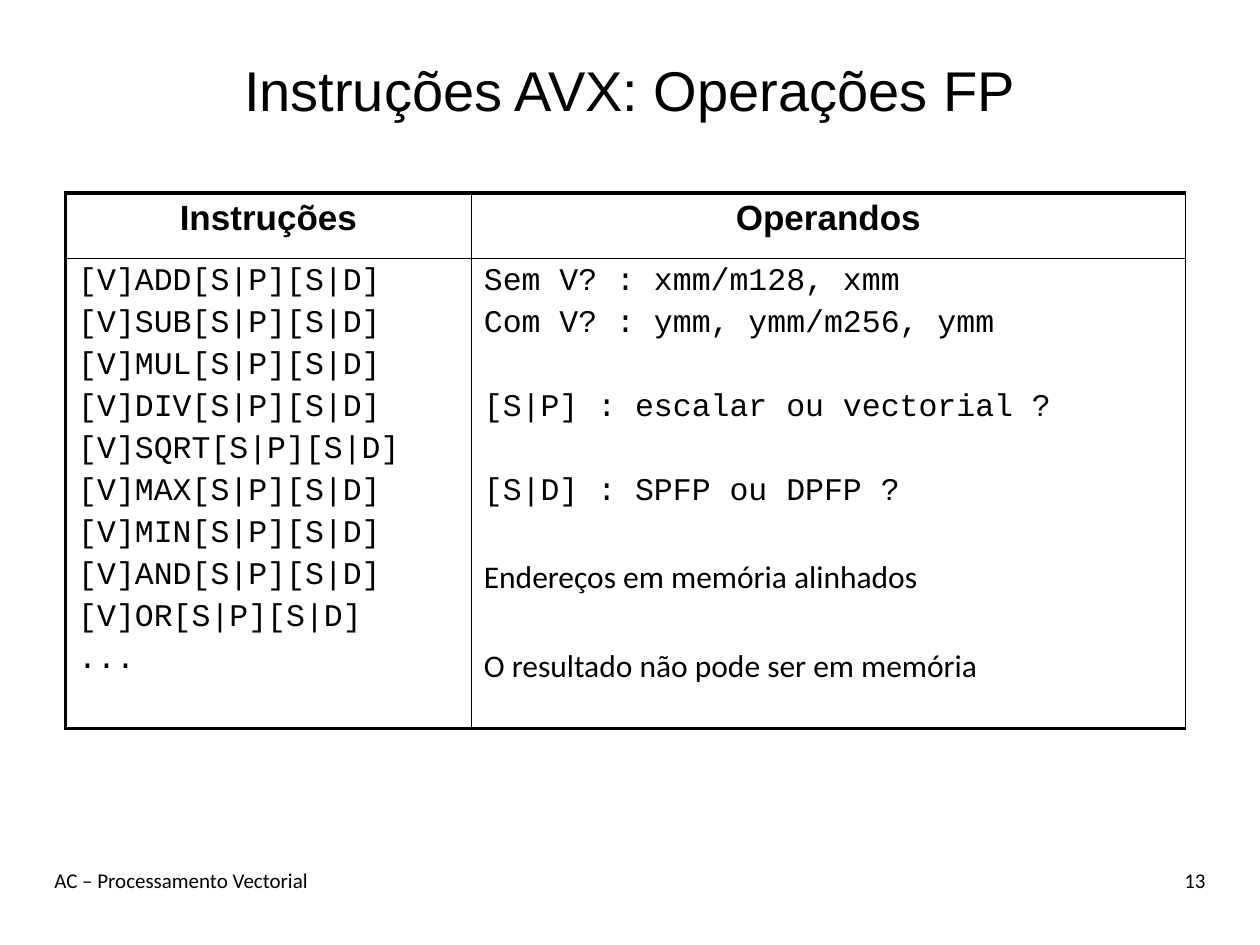
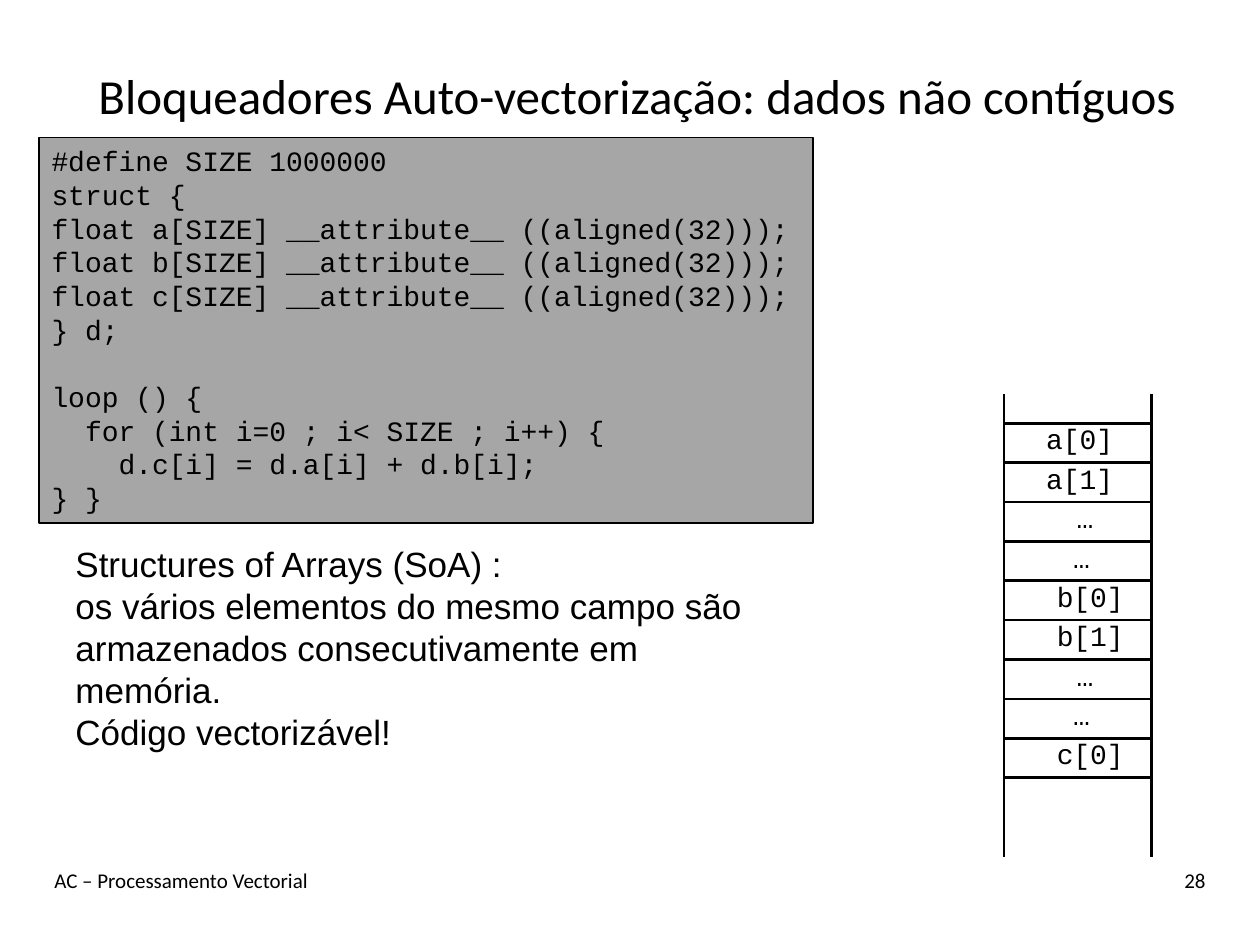
import lxml.etree
import pptx
import pptx.dml.color
import pptx.enum.shapes
import pptx.enum.text
import pptx.oxml.ns
import pptx.util

Pt = pptx.util.Pt
ALIGN = pptx.enum.text.PP_ALIGN
ANCHOR = pptx.enum.text.MSO_ANCHOR
FIT = pptx.enum.text.MSO_AUTO_SIZE
SANS, BODY, CODE = "Arial", "Calibri", "Courier New"
BLACK, GREY = "000000", "A6A6A6"
TITLE_ONLY = 5


def colour(value):
    return pptx.dml.color.RGBColor.from_string(value)


def add_element(parent, tag, **attributes):
    return lxml.etree.SubElement(parent, pptx.oxml.ns.qn(tag), attributes)


class Slides:
    """Holds the deck, its style and the current page; lengths are in points."""

    def __init__(self):
        self.deck = pptx.Presentation()
        self.deck.slide_width, self.deck.slide_height = Pt(720), Pt(540)
        self.page = None

    def start(self, title, number, left, top, size, font):
        self.page = self.deck.slides.add_slide(self.deck.slide_layouts[TITLE_ONLY])
        box = self.page.shapes.title
        box.left, box.top, box.width, box.height = Pt(left), Pt(top), Pt(672), Pt(66)
        self.fill_frame(box.text_frame, [title], size, font, ALIGN.CENTER)
        box.text_frame.vertical_anchor = ANCHOR.MIDDLE
        self.text(["AC – Processamento Vectorial"], 24, 492, 504, 36, 12, BODY)
        self.text([str(number)], 600, 492, 96, 36, 12, BODY, ALIGN.RIGHT)

    def fill_frame(self, frame, lines, size, font, align=ALIGN.LEFT):
        frame.word_wrap = True
        frame.auto_size = FIT.NONE
        self.paragraphs(frame, lines, size, font, align)

    def paragraphs(self, frame, lines, size, font, align=ALIGN.LEFT, bold=False):
        for index, line in enumerate(lines):
            para = frame.add_paragraph() if index else frame.paragraphs[0]
            para.text = line
            para.alignment = align
            para.font.size, para.font.name, para.font.bold = Pt(size), font, bold
            para.font.color.rgb = colour(BLACK)

    def text(self, lines, left, top, width, height, size, font, align=ALIGN.LEFT):
        box = self.page.shapes.add_textbox(Pt(left), Pt(top), Pt(width), Pt(height))
        self.fill_frame(box.text_frame, lines, size, font, align)

    def code(self, blocks, left, top, width, height, size, pitch):
        """Draw a listing whose blocks are one line apart."""
        box = self.page.shapes.add_shape(
            pptx.enum.shapes.MSO_SHAPE.RECTANGLE, Pt(left), Pt(top), Pt(width), Pt(height))
        box.shadow.inherit = False
        box.fill.solid()
        box.fill.fore_color.rgb = colour(GREY)
        box.line.color.rgb = colour(BLACK)
        box.line.width = Pt(0.75)
        frame = box.text_frame
        self.fill_frame(frame, [line for block in blocks for line in block], size, CODE)
        frame.word_wrap = False
        frame.vertical_anchor = ANCHOR.TOP
        for para in frame.paragraphs:
            para.line_spacing = Pt(pitch)
        start = 0
        for block in blocks[:-1]:
            start += len(block)
            frame.paragraphs[start].space_before = Pt(pitch)

    def line(self, x1, y1, x2, y2):
        line = self.page.shapes.add_connector(
            pptx.enum.shapes.MSO_CONNECTOR.STRAIGHT, Pt(x1), Pt(y1), Pt(x2), Pt(y2))
        line.line.color.rgb = colour(BLACK)
        line.line.width = Pt(1.5)
        add_element(line._element.spPr, "a:effectLst")

    def table(self, left, top, widths, heights):
        frame = self.page.shapes.add_table(
            len(heights), len(widths), Pt(left), Pt(top), Pt(sum(widths)), Pt(sum(heights)))
        table = frame.table
        table.first_row = table.horz_banding = False
        for column, width in zip(table.columns, widths):
            column.width = Pt(width)
        for row, height in zip(table.rows, heights):
            row.height = Pt(height)
        last = len(heights) - 1
        for r in range(len(heights)):
            for c in range(len(widths)):
                self.borders(table.cell(r, c), L=1 if c else 2.25, R=1,
                             T=1 if r else 2.25, B=2.25 if r == last else 1)
        return table

    def borders(self, cell, **sides):
        properties = cell._tc.get_or_add_tcPr()
        for side, width in sides.items():
            edge = add_element(properties, f"a:ln{side}", w=str(int(Pt(width))))
            fill = add_element(edge, "a:solidFill")
            add_element(fill, "a:srgbClr", val=BLACK)
        cell.fill.background()


def operations_page(slides):
    slides.start("Instruções AVX: Operações FP", 13, 24, 18, 32, SANS)
    table = slides.table(37.5, 110.2, [231.8, 408.2], [37.4, 268.6])
    for column, heading in enumerate(["Instruções", "Operandos"]):
        slides.paragraphs(table.cell(0, column).text_frame, [heading],
                          20, SANS, ALIGN.CENTER, bold=True)

    names = ["ADD", "SUB", "MUL", "DIV", "SQRT", "MAX", "MIN", "AND", "OR"]
    instructions = table.cell(1, 0).text_frame
    slides.paragraphs(instructions, [f"[V]{name}[S|P][S|D]" for name in names] + ["..."],
                      18, CODE)
    for para in instructions.paragraphs[1:]:
        para.space_before = Pt(3.6)

    operands = [
        ("Sem V? : xmm/m128, xmm", CODE, 0),
        ("Com V? : ymm, ymm/m256, ymm", CODE, 3.6),
        ("[S|P] : escalar ou vectorial ?", CODE, 27.6),
        ("[S|D] : SPFP ou DPFP ?", CODE, 27.6),
        ("Endereços em memória alinhados", BODY, 27.6),
        ("O resultado não pode ser em memória", BODY, 29),
    ]
    frame = table.cell(1, 1).text_frame
    slides.paragraphs(frame, [line for line, _, _ in operands], 18, CODE)
    for para, (_, font, gap) in zip(frame.paragraphs, operands):
        para.font.name = font
        if gap:
            para.space_before = Pt(gap)


def memory_column(slides):
    left, right, top, bottom = 573.8, 658.1, 225.4, 489.6
    first_row, pitch = 241.9, 22.5
    for x in (left, right):
        slides.line(x, top, x, bottom)
    cells = [("a[0]", 617), ("a[1]", 617), ("…", 620), ("…", 618),
             ("b[0]", 623), ("b[1]", 623), ("…", 620), ("…", 618), ("c[0]", 623)]
    for row in range(len(cells) + 1):
        y = first_row + row * pitch
        slides.line(left, y, right, y)
    for row, (label, centre) in enumerate(cells):
        slides.text([label], centre - 30, first_row - 4.3 + row * pitch, 60, 26.6,
                    16, CODE, ALIGN.CENTER)


def contiguity_page(slides):
    slides.start("Bloqueadores Auto-vectorização: dados não contíguos", 28, 28, 21, 28, BODY)
    fields = [f"float {name}[SIZE] __attribute__ ((aligned(32)));" for name in "abc"]
    declaration = ["#define SIZE 1000000", "struct {", *fields, "} d;"]
    loop = ["loop () {", "  for (int i=0 ; i< SIZE ; i++) {",
            "    d.c[i] = d.a[i] + d.b[i];", "} }"]
    slides.code([declaration, loop], 22.4, 78.5, 442.2, 220.4, 16, 19.25)
    slides.text(["Structures of Arrays (SoA) :",
                 "os vários elementos do mesmo campo são armazenados "
                 "consecutivamente em memória.",
                 "Código vectorizável!"], 36, 306.7, 408, 128, 20, SANS)
    memory_column(slides)


def main():
    slides = Slides()
    operations_page(slides)
    contiguity_page(slides)
    slides.deck.save("out.pptx")


if __name__ == "__main__":
    main()
